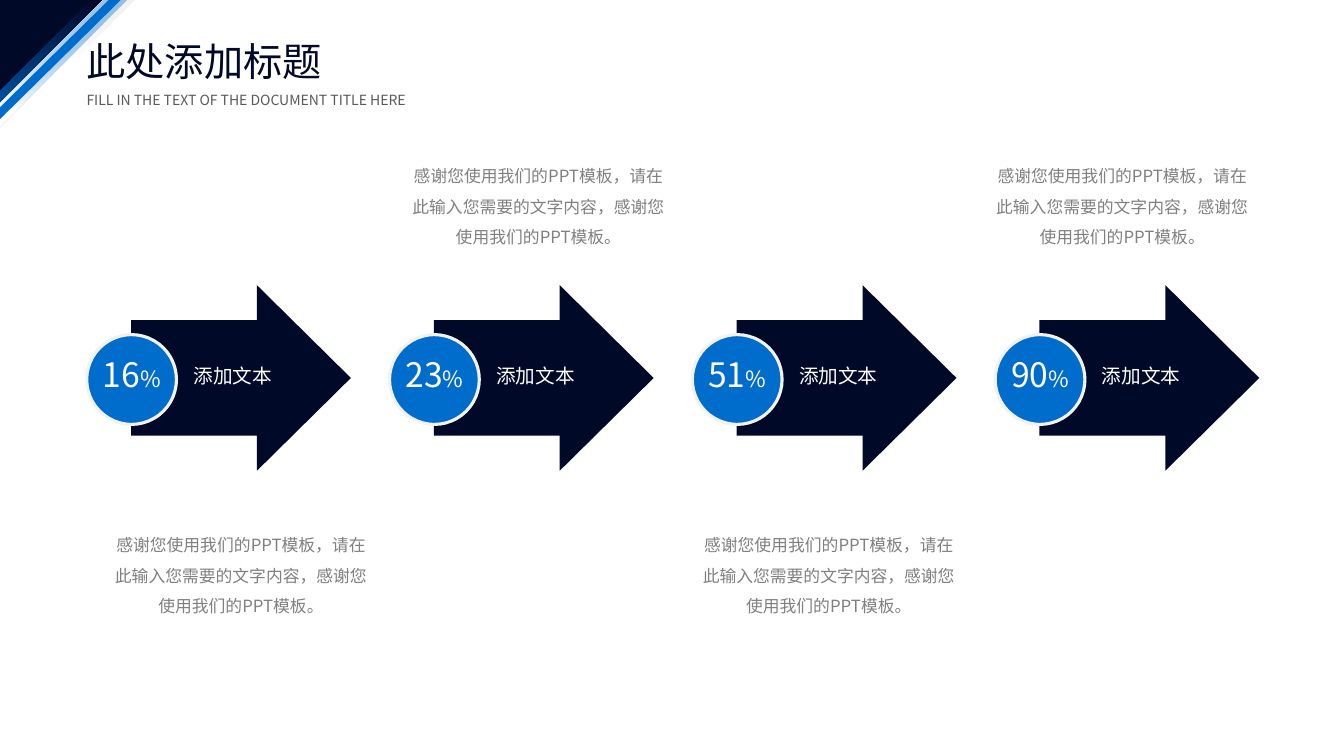
from lxml.etree import SubElement as Sub
from pptx import Presentation
from pptx.dml.color import RGBColor as Rgb
from pptx.enum.shapes import MSO_CONNECTOR as Link, MSO_SHAPE as Kind
from pptx.enum.text import MSO_ANCHOR as Anchor, MSO_AUTO_SIZE as Fit, PP_ALIGN as Align
from pptx.oxml.ns import qn
from pptx.util import Inches, Pt

HUES = {"navy": "000928", "blue": "006CCC", "white": "FFFFFF", "pale": "F2F2F2",
        "silver": "D9D9D9", "dark": "595959", "gray": "808080"}
FONT = "Noto Sans CJK SC"
NOTE = "感谢您使用我们的PPT模板，请在此输入您需要的文字内容，感谢您使用我们的PPT模板。"
STEPS = [("16", 1.03, 5.16), ("23", 3.98, 1.5), ("51", 6.86, 5.16), ("90", 9.77, 1.5)]


def hue(name):
    return Rgb.from_string(HUES[name])


def write(box, *runs, color="white", font=FONT, align=Align.LEFT, space=1.0, wrap=True):
    frame = box.text_frame
    frame.word_wrap = wrap
    frame.auto_size = Fit.SHAPE_TO_FIT_TEXT
    frame.vertical_anchor = Anchor.TOP
    para = frame.paragraphs[0]
    para.alignment, para.line_spacing = align, space
    para.space_before = Pt(0)
    for text, size in runs:
        run = para.add_run()
        run.text = text
        run.font.size, run.font.name = Pt(size), font
        run.font.color.rgb = hue(color)
        Sub(run.font._element, qn("a:ea"), typeface=FONT)


class Deck:
    """Builds the arrow slide with one shared style."""

    def __init__(self):
        self.show = Presentation()
        self.show.slide_width, self.show.slide_height = Inches(13.33), Inches(7.5)
        self.slide = self.show.slides.add_slide(self.show.slide_layouts[5])
        self.shapes = self.slide.shapes

    def shape(self, kind, *at, fill=None, line=None, adj=(), turn=0):
        item = self.shapes.add_shape(kind, *map(Inches, at))
        item.shadow.inherit = False
        item.rotation = turn
        for i, part in enumerate(adj):
            item.adjustments[i] = part
        if fill:
            item.fill.solid()
            item.fill.fore_color.rgb = hue(fill)
        if line:
            item.line.color.rgb, item.line.width = hue(line), Pt(2.25)
        else:
            item.line.fill.background()
        return item

    def fade(self, item, angle, *stops):
        item.fill.gradient()
        item.fill.gradient_angle = angle
        for stop, (spot, color, alpha) in zip(item.fill.gradient_stops, stops):
            stop.position, stop.color.rgb = spot, hue(color)
            if alpha < 100:
                tint = stop.color._xFill.find(qn("a:srgbClr"))
                Sub(tint, qn("a:alpha"), val=str(alpha * 1000))

    def line(self, *ends, color, width):
        item = self.shapes.add_connector(Link.STRAIGHT, *map(Inches, ends))
        item.line.color.rgb, item.line.width = hue(color), Pt(width)
        Sub(item._element.spPr, qn("a:effectLst"))

    def text(self, *at):
        return self.shapes.add_textbox(*map(Inches, at))

    def title(self, text, *at):
        item = self.shapes.title
        item.left, item.top, item.width, item.height = map(Inches, at)
        write(item, (text, 28), color="navy", align=Align.JUSTIFY)
        item.element.getparent().append(item.element)

    def corner(self):
        edge = self.shape(Kind.DIAGONAL_STRIPE, 0.49, -0.44, 1.01, 1.01, adj=[0.734], turn=180)
        self.fade(edge, 225, (0, "white", 66), (1, "silver", 47))
        band = self.shape(Kind.PARALLELOGRAM, -0.47, -0.15, 1.63, 1.51, adj=[1.001])
        self.fade(band, 45, (0, "blue", 100), (0.88, "navy", 100))
        glow = self.shape(Kind.PARALLELOGRAM, -0.34, -0.15, 1.75, 1.51, adj=[1.001])
        self.fade(glow, 45, (0.22, "white", 100), (1, "blue", 36))
        self.line(1.29, -0.15, -0.25, 1.37, color="blue", width=6)
        self.shape(Kind.RIGHT_TRIANGLE, -0.78, -0.73, 1.41, 1.41, fill="navy", turn=315)

    def step(self, left, share):
        self.shape(Kind.RIGHT_ARROW, left + 0.44, 2.83, 2.18, 1.84, fill="navy", adj=[0.623, 0.506])
        self.shape(Kind.OVAL, left, 3.32, 0.89, 0.89, fill="blue", line="pale")
        write(self.text(left + 0.06, 3.46, 0.81, 0.5), (share, 24), ("%", 16), wrap=False)
        write(self.text(left + 0.96, 3.56, 1.29, 0.34), ("添加文本", 14),
              font="Arial", align=Align.JUSTIFY)


def main():
    deck = Deck()
    deck.corner()
    deck.title("此处添加标题", 0.76, 0.32, 2.99, 0.57)
    write(deck.text(0.76, 0.86, 3.41, 0.27),
          ("FILL IN THE TEXT OF THE DOCUMENT TITLE HERE", 10), color="dark", wrap=False)
    for i, (share, left, top) in enumerate(STEPS):
        deck.step(0.86 + 9.01 * i / 3, share)
        write(deck.text(left, top, 2.72, 0.96), (NOTE, 12),
              color="gray", align=Align.CENTER, space=1.5)
    deck.show.save("out.pptx")


if __name__ == "__main__":
    main()
